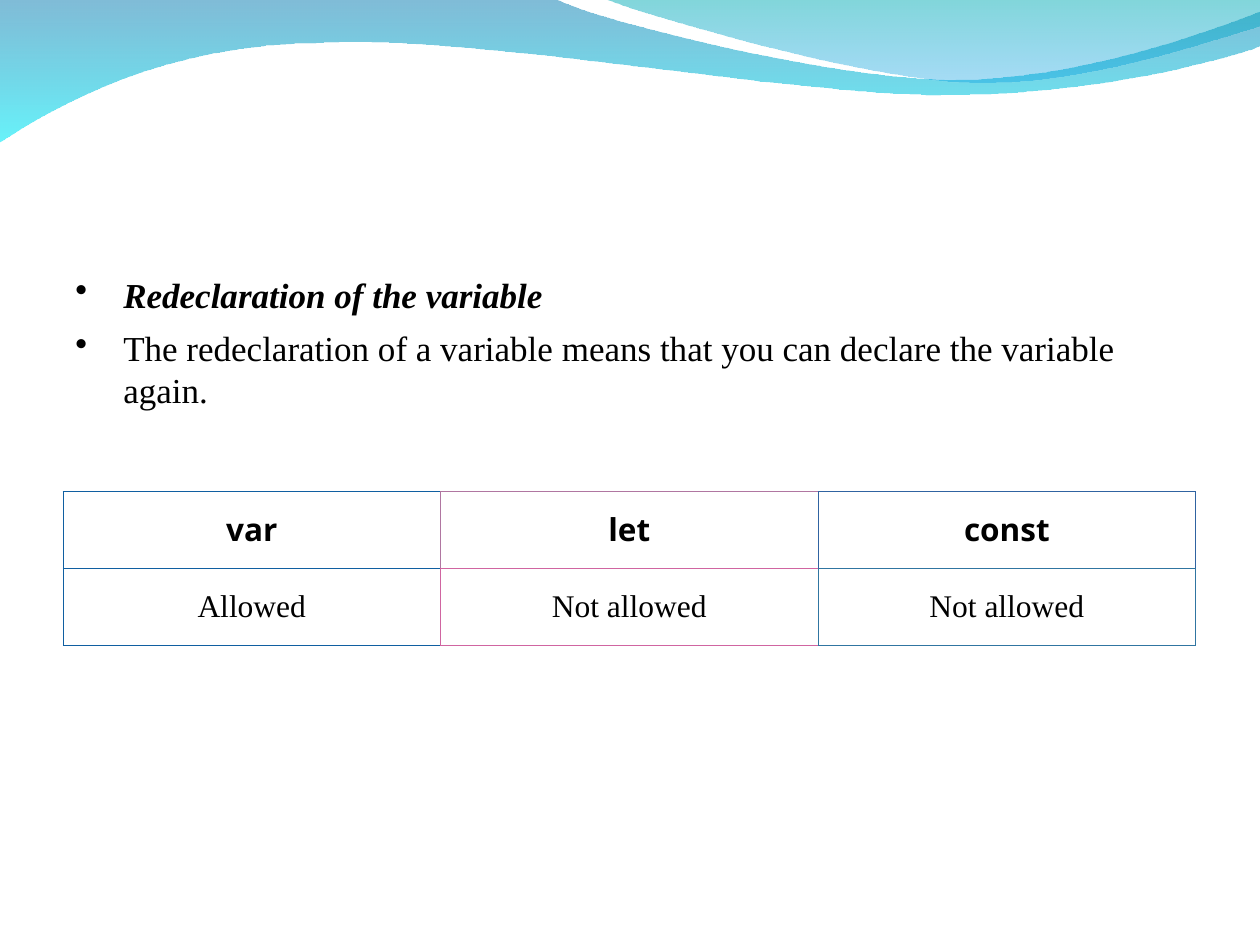
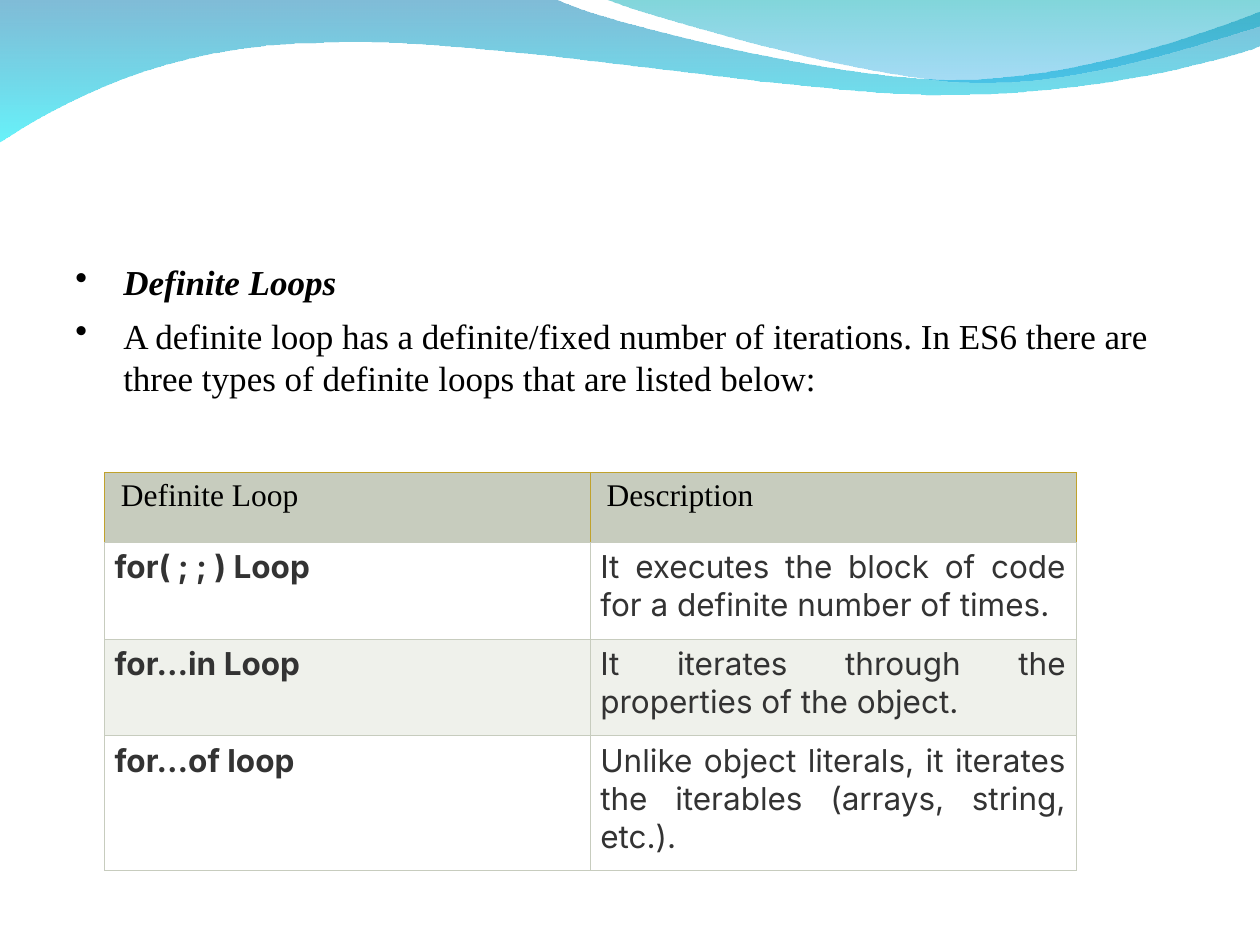
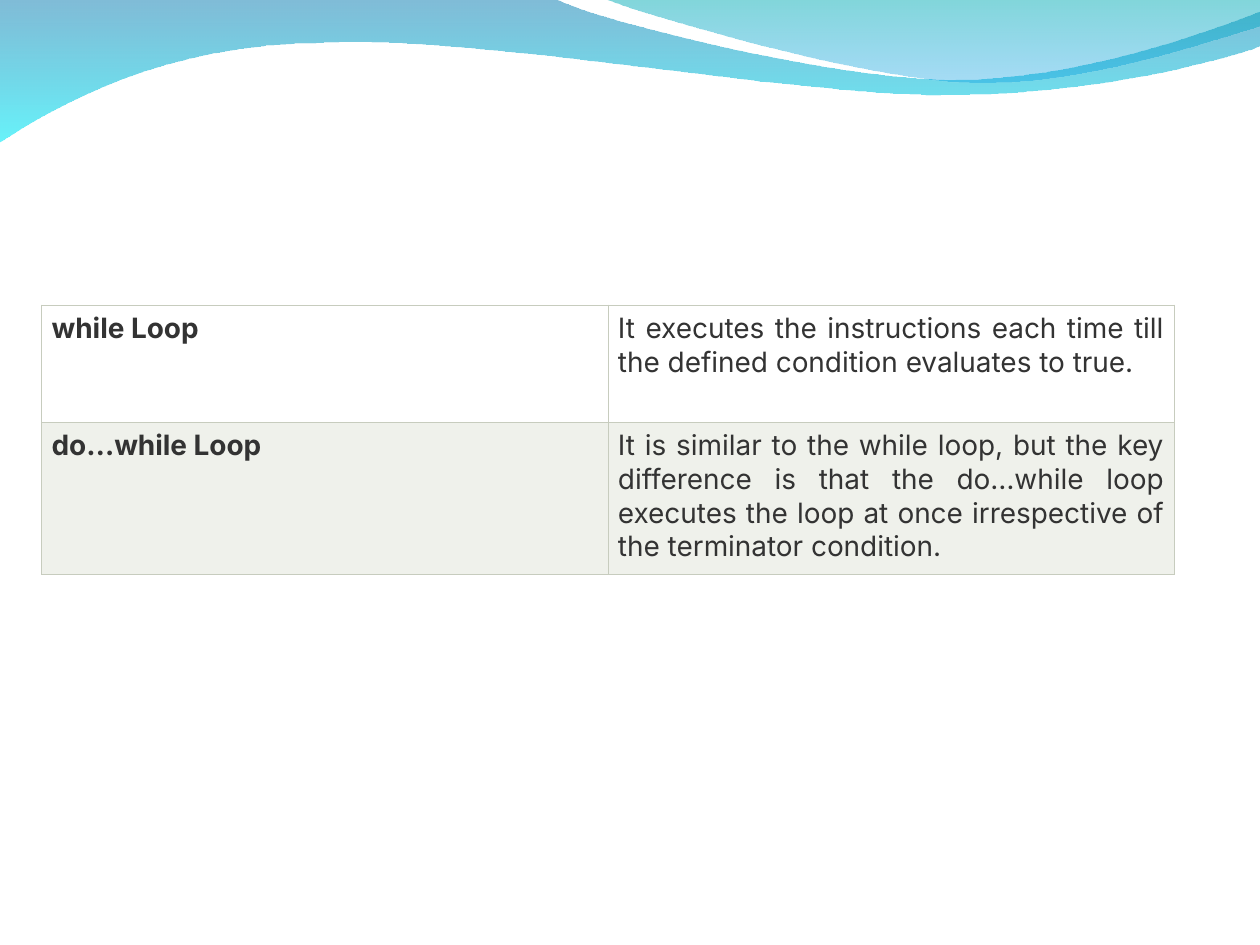
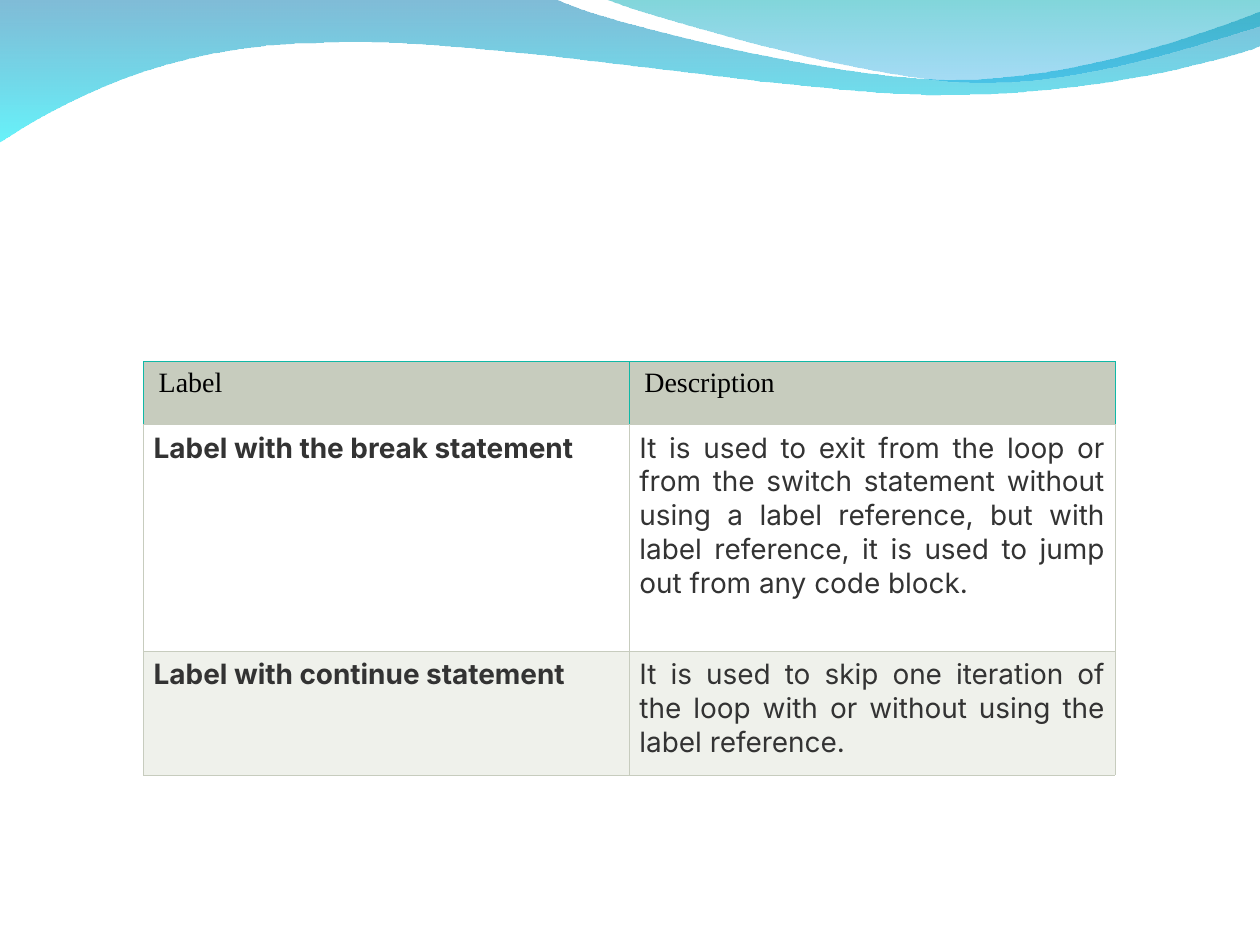
from pptx import Presentation
from pptx.dml.color import RGBColor
from pptx.enum.text import MSO_ANCHOR as Anchor, PP_ALIGN as Align
from pptx.oxml.ns import qn
from pptx.util import Inches, Pt
from lxml.etree import SubElement

BLACK = RGBColor(0x00, 0x00, 0x00)
CHARCOAL = RGBColor(0x33, 0x33, 0x33)
WHITE = RGBColor(0xFF, 0xFF, 0xFF)
SAGE = RGBColor(0xC7, 0xCC, 0xBE)
PALE_SAGE = RGBColor(0xEF, 0xF1, 0xEB)
GOLD = RGBColor(0xC0, 0xA2, 0x2D)
TEAL = RGBColor(0x10, 0xB8, 0xA6)
NAVY = RGBColor(0x10, 0x5F, 0xA1)
MAUVE = RGBColor(0xB0, 0x76, 0xA1)
PINK = RGBColor(0xD0, 0x65, 0xA1)
BLUE = RGBColor(0x30, 0x63, 0xA1)
STEEL = RGBColor(0x30, 0x75, 0xA1)
WAVE_TOP = RGBColor(0x00, 0x79, 0xAF)
WAVE_BOTTOM = RGBColor(0x00, 0xEB, 0xF8)
CREST_TOP = RGBColor(0x00, 0xAD, 0xB6)
CREST_BOTTOM = RGBColor(0x00, 0x9B, 0xE5)

SERIF, SANS, HEADING = "Times New Roman", "Inter", "Open Sans"
THIN, MEDIUM = 0.34, 0.45

# Each segment holds one point for a line or three for a Bézier curve.
WAVE = [
    [(0, -0.01)],
    [(4.4, -0.01)],
    [(4.76, 0.17), (6.64, 0.63), (7.58, 0.63)],
    [(8.53, 0.63), (9.58, 0.26), (10, 0.09)],
    [(10.01, 0.36)],
    [(9.83, 0.44), (8.7, 0.76), (7.46, 0.75)],
    [(6.22, 0.75), (3.82, 0.28), (2.57, 0.34)],
    [(1.29, 0.35), (0.46, 0.83), (-0.01, 1.13)],
]
CREST = [
    [(4.79, -0.01)],
    [(5.09, 0.11), (6.82, 0.62), (7.69, 0.65)],
    [(8.56, 0.69), (9.61, 0.32), (10, 0.21)],
    [(10, 0)],
]


def bend_curves(shape, segments):
    """Turn the three lines of each curved segment into one Bézier curve."""
    lines = list(shape._element.iter(qn("a:lnTo")))
    for segment in segments:
        sides, lines = lines[:len(segment)], lines[len(segment):]
        if len(segment) == 3:
            outline = sides[0].getparent()
            curve = SubElement(outline, qn("a:cubicBezTo"))
            sides[0].addprevious(curve)
            for side in sides:
                curve.append(side[0])
                outline.remove(side)


def add_wave(slide, segments, stops):
    """Draw an outline with a vertical gradient; stops are (colour, opacity %)."""
    start, *corners = [(Inches(x), Inches(y)) for segment in segments for x, y in segment]
    builder = slide.shapes.build_freeform(*start)
    builder.add_line_segments(corners, close=True)
    wave = builder.convert_to_shape()
    bend_curves(wave, segments[1:])
    wave.shadow.inherit = False
    wave.line.fill.background()
    wave.fill.gradient()
    wave.fill.gradient_angle = 270
    for stop, (color, _) in zip(wave.fill.gradient_stops, stops):
        stop.color.rgb = color
    colors = wave.fill._xPr.iter(qn("a:srgbClr"))
    for color, (_, opacity) in zip(colors, stops):
        SubElement(color, qn("a:alpha"), val=str(opacity * 1000))
    return wave


def add_shared_waves(slide):
    """Draw the waves once and hand them to the layout that all slides use."""
    shared_shapes = slide.slide_layout.shapes._spTree
    for segments, stops in (
            (WAVE, [(WAVE_TOP, 50), (WAVE_BOTTOM, 60)]),
            (CREST, [(CREST_TOP, 50), (CREST_BOTTOM, 35)])):
        shared_shapes.append(add_wave(slide, segments, stops)._element)


def write(paragraph, text, font=SERIF, size=20, color=BLACK, bold=False,
          italic=False, align=Align.LEFT):
    paragraph.alignment = align
    run = paragraph.add_run()
    run.text = text
    run.font.name = font
    run.font.size = Pt(size)
    run.font.color.rgb = color
    run.font.bold = bold
    run.font.italic = italic


def add_bullet(paragraph):
    properties = paragraph._p.get_or_add_pPr()
    properties.set("marL", str(Inches(0.38)))
    properties.set("indent", str(Inches(-0.38)))
    bullet_color = SubElement(properties, qn("a:buClr"))
    SubElement(bullet_color, qn("a:srgbClr"), val=str(BLACK))
    SubElement(properties, qn("a:buChar"), char="•")


def add_intro(slide, top, heading, explanation):
    box = slide.shapes.add_textbox(Inches(0.5), Inches(top), Inches(8.99), Inches(4.79))
    frame = box.text_frame
    frame.word_wrap = True
    first, second = frame.paragraphs[0], frame.add_paragraph()
    for paragraph in (first, second):
        add_bullet(paragraph)
    second.space_before = Pt(6.5)
    write(first, heading, bold=True, italic=True)
    write(second, explanation)


def set_borders(cell, sides):
    """Border a cell; sides are (colour, width) for left, right, top, bottom."""
    properties = cell._tc.get_or_add_tcPr()
    for position, (side, (color, width)) in enumerate(zip("LRTB", sides)):
        line = SubElement(properties, qn(f"a:ln{side}"), w=str(Pt(width)))
        properties.insert(position, line)
        fill = SubElement(line, qn("a:solidFill"))
        SubElement(fill, qn("a:srgbClr"), val=str(color))


def add_grid(slide, left, top, width, heights, rows, edges, style_cell):
    """Add a table; a cell shares its right and bottom edge with the next cell."""
    columns = len(rows[0])
    table = slide.shapes.add_table(len(rows), columns, Inches(left), Inches(top),
                                   Inches(width), Inches(sum(heights))).table
    table.first_row = table.horz_banding = False
    for r, (height, texts) in enumerate(zip(heights, rows)):
        table.rows[r].height = Inches(height)
        for c, text in enumerate(texts):
            cell = table.cell(r, c)
            style_cell(cell, r, c, text)
            own = edges[r][c]
            right = edges[r][min(c + 1, columns - 1)]
            bottom = edges[min(r + 1, len(rows) - 1)][c]
            set_borders(cell, (own, right, own, bottom))


def set_side_margins(cell, margin):
    cell.margin_left = cell.margin_right = Inches(margin)


def add_keyword_table(slide, keywords, answers):
    def style_cell(cell, r, c, text):
        cell.fill.background()
        cell.vertical_anchor = Anchor.MIDDLE
        set_side_margins(cell, 0.16)
        write(cell.text_frame.paragraphs[0], text, font=SERIF if r else HEADING,
              size=18, bold=r == 0, align=Align.CENTER)

    edges = [[(color, MEDIUM) for color in (NAVY, MAUVE, BLUE)],
             [(color, THIN) for color in (NAVY, PINK, STEEL)]]
    add_grid(slide, 0.5, 3.9, 8.99, [0.61, 0.61], [keywords, answers], edges, style_cell)


def add_description_table(slide, left, top, width, heights, entries, size,
                          header=None, header_edge=SAGE, header_margin=0.12):
    """Add a two-column table of terms and descriptions with banded rows."""
    header_rows = 1 if header else 0

    def style_cell(cell, r, c, text):
        paragraph = cell.text_frame.paragraphs[0]
        cell.fill.solid()
        if r < header_rows:
            cell.fill.fore_color.rgb = SAGE
            set_side_margins(cell, header_margin)
            write(paragraph, text, size=size)
        else:
            cell.fill.fore_color.rgb = PALE_SAGE if (r - header_rows) % 2 else WHITE
            set_side_margins(cell, 0.08)
            write(paragraph, text, font=SANS, size=size, color=CHARCOAL,
                  bold=c == 0, align=Align.JUSTIFY)

    rows = ([header] if header else []) + entries
    edges = [[(header_edge if r < header_rows else SAGE, THIN)] * 2
             for r in range(len(rows))]
    add_grid(slide, left, top, width, heights, rows, edges, style_cell)


def main():
    deck = Presentation()
    deck.slide_width, deck.slide_height = Inches(10), Inches(7.5)
    blank = deck.slide_layouts[6]
    redeclaration, definite_loops, indefinite_loops, labels = (
        deck.slides.add_slide(blank) for _ in range(4))
    add_shared_waves(redeclaration)

    add_intro(redeclaration, 2.12, "Redeclaration of the variable",
              "The redeclaration of a variable means that you can declare the variable again.")
    add_keyword_table(redeclaration, ("var", "let", "const"),
                      ("Allowed", "Not allowed", "Not allowed"))

    add_intro(definite_loops, 2.02, "Definite Loops",
              "A definite loop has a definite/fixed number of iterations. In ES6 there are "
              "three types of definite loops that are listed below:")
    add_description_table(
        definite_loops, 0.83, 3.75, 7.71, [0.55, 0.77, 0.77, 1.07],
        [("for( ; ; ) Loop", "It executes the block of code for a definite number of times."),
         ("for…in Loop", "It iterates through the properties of the object."),
         ("for…of loop", "Unlike object literals, it iterates the iterables "
                         "(arrays, string, etc.).")],
        size=18, header=("Definite Loop", "Description"), header_edge=GOLD,
        header_margin=0.13)

    add_description_table(
        indefinite_loops, 0.33, 2.42, 8.99, [0.93, 1.21],
        [("while Loop", "It executes the instructions each time till the defined "
                        "condition evaluates to true."),
         ("do…while Loop", "It is similar to the while loop, but the key difference is that "
                           "the do…while loop executes the loop at once irrespective of the "
                           "terminator condition.")],
        size=16)

    add_description_table(
        labels, 1.14, 2.87, 7.71, [0.5, 1.8, 0.98],
        [("Label with the break statement",
          "It is used to exit from the loop or from the switch statement without using a "
          "label reference, but with label reference, it is used to jump out from any "
          "code block."),
         ("Label with continue statement",
          "It is used to skip one iteration of the loop with or without using the label "
          "reference.")],
        size=16, header=("Label", "Description"), header_edge=TEAL)

    deck.save("out.pptx")


if __name__ == "__main__":
    main()
